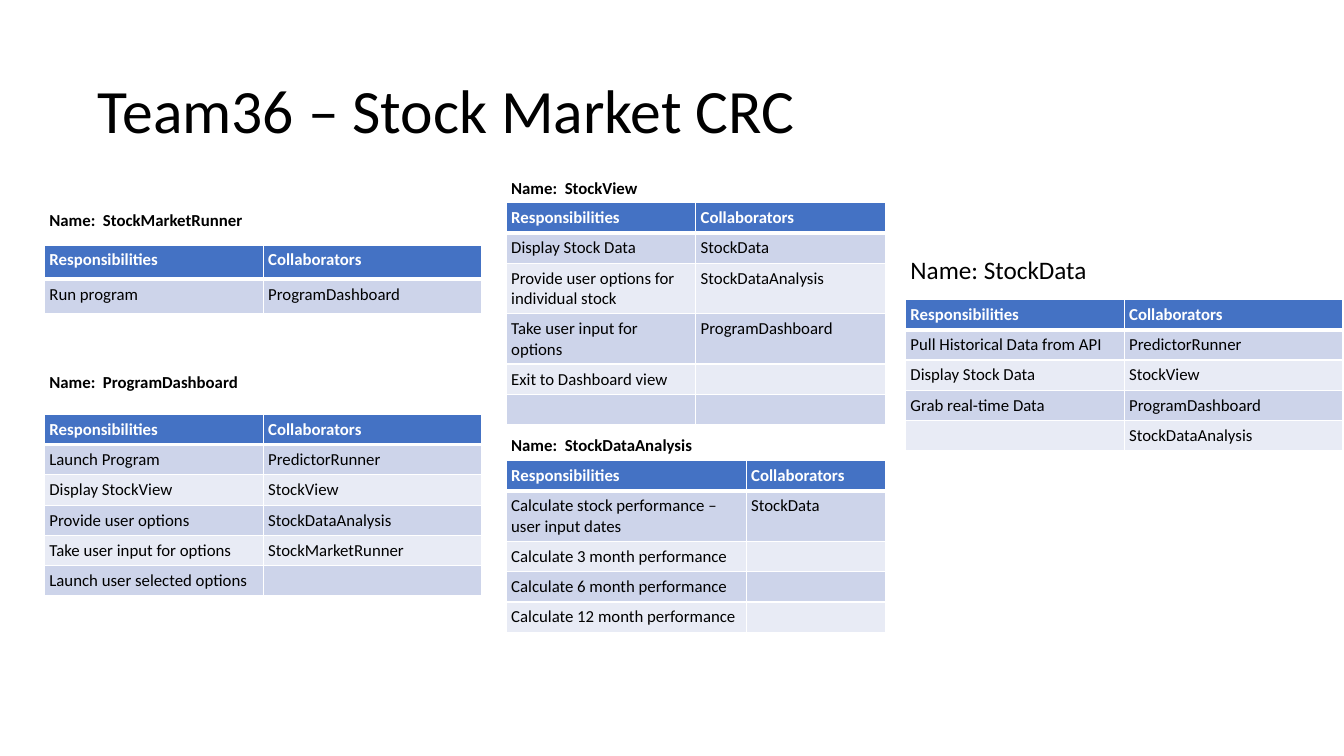
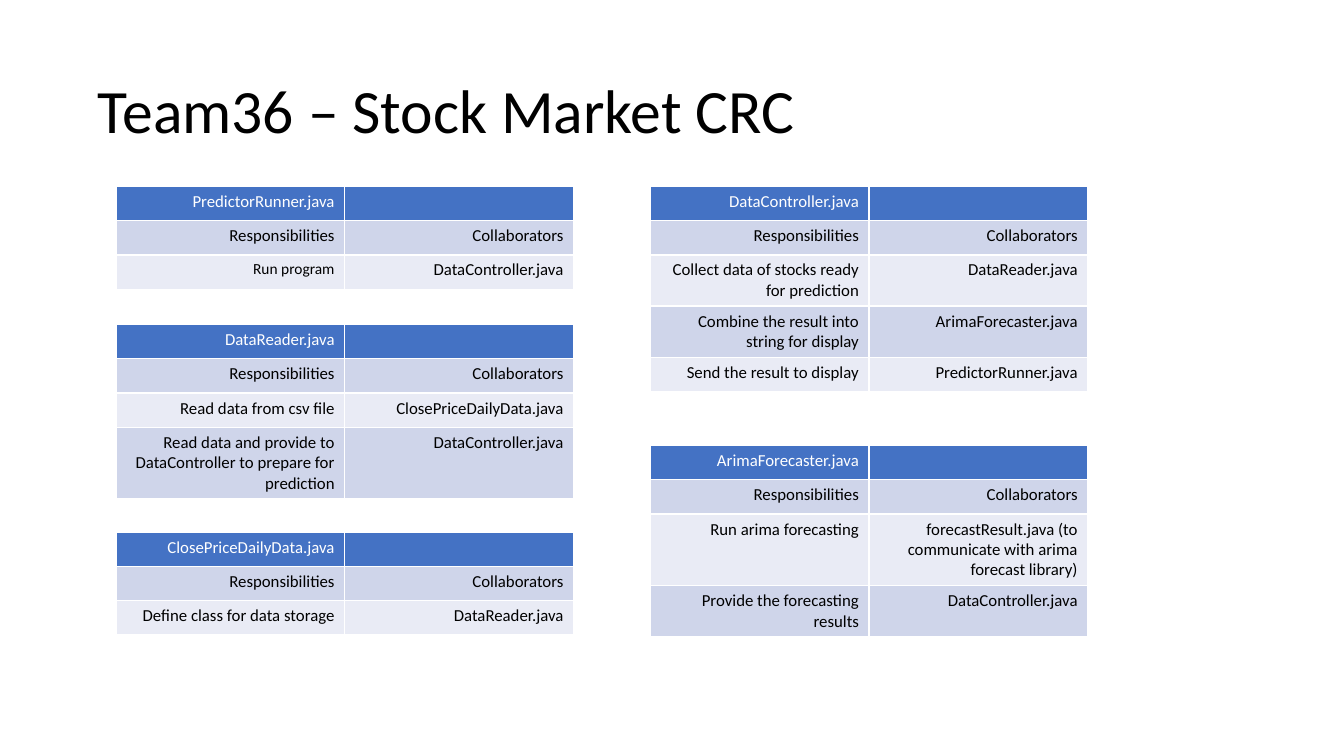
from dataclasses import dataclass

from lxml.etree import SubElement
from pptx import Presentation
from pptx.dml.color import RGBColor
from pptx.enum.text import MSO_ANCHOR, PP_ALIGN
from pptx.oxml.ns import qn
from pptx.util import Pt

SCALE = 9144
TITLE = "Team36 – Stock Market CRC"
HEAD = ("Responsibilities", "Collaborators")


def px(count):
    return count * SCALE


@dataclass(frozen=True)
class Theme:
    font: str = "Calibri"
    ink: str = "000000"
    paper: str = "FFFFFF"
    accent: str = "4472C4"
    title: int = 44
    label: int = 18
    body: int = 12
    small: int = 11
    inset: int = 5
    thin: int = 1
    thick: int = 3


@dataclass(frozen=True)
class Grid:
    bands: tuple
    bold: bool
    rule: int
    side: int
    align: PP_ALIGN


class Deck:
    def __init__(self, theme):
        self.theme = theme
        self.show = Presentation()
        self.show.slide_width = px(1333)
        self.show.slide_height = px(750)
        self.slide = None

    def page(self, text):
        self.slide = self.show.slides.add_slide(self.show.slide_layouts[5])
        shape = self.slide.shapes.title
        shape.left, shape.top = px(92), px(40)
        shape.width, shape.height = px(1150), px(145)
        frame = shape.text_frame
        self.letter(frame, text, self.theme.title)
        self.pad(frame, self.theme.inset)
        frame.vertical_anchor = MSO_ANCHOR.MIDDLE
        frame.paragraphs[0].line_spacing = 0.9

    def pad(self, box, side):
        box.margin_left = box.margin_right = px(side)
        box.margin_top = box.margin_bottom = px(self.theme.inset)

    def letter(self, frame, text, size, bold=False, color=None, align=PP_ALIGN.LEFT):
        frame.text = text
        para = frame.paragraphs[0]
        para.alignment = align
        for run in para.runs:
            font = run.font
            font.name, font.size, font.bold = self.theme.font, Pt(size), bold
            font.color.rgb = RGBColor.from_string(color or self.theme.ink)
        if not text:
            SubElement(para._p, qn("a:endParaRPr"), sz=str(size * 100))

    def label(self, x, y, wide, high, text, size, bold, wrap=True):
        box = self.slide.shapes.add_textbox(px(x), px(y), px(wide), px(high))
        frame = box.text_frame
        frame.word_wrap = wrap
        self.pad(frame, self.theme.inset)
        self.letter(frame, text, size, bold)

    def edge(self, cell, top, bottom):
        props = cell._tc.get_or_add_tcPr()
        thin = self.theme.thin
        for tag, width in (("lnL", thin), ("lnR", thin), ("lnT", top), ("lnB", bottom)):
            line = SubElement(props, qn(f"a:{tag}"), w=str(int(Pt(width))))
            fill = SubElement(line, qn("a:solidFill"))
            SubElement(fill, qn("a:srgbClr"), val=self.theme.paper)

    def table(self, x, y, cols, high, rows, grid):
        theme = self.theme
        frame = self.slide.shapes.add_table(
            len(rows), len(cols), px(x), px(y), px(sum(cols)), px(high * len(rows)))
        table = frame.table
        for col, wide in zip(table.columns, cols):
            col.width = px(wide)
        for r, texts in enumerate(rows):
            table.rows[r].height = px(high)
            first = r == 0
            back = theme.accent if first else grid.bands[(r - 1) % 2]
            color = theme.paper if first else theme.ink
            top = grid.rule if r == 1 else theme.thin
            bottom = grid.rule if first else theme.thin
            for c, text in enumerate(texts):
                cell = table.cell(r, c)
                self.edge(cell, top, bottom)
                cell.fill.solid()
                cell.fill.fore_color.rgb = RGBColor.from_string(back)
                self.pad(cell, grid.side)
                self.letter(cell.text_frame, text, theme.body,
                            first and grid.bold, color, grid.align)
        return table


def views(deck):
    theme = deck.theme
    grid = Grid(("CDD4EA", "E8EBF5"), True, theme.thick, theme.inset, PP_ALIGN.LEFT)
    deck.page(TITLE)
    half, even = (217, 217), (188, 188)
    cards = [
        ("StockMarketRunner", 44, 203, 243, half, 34, [
            ("Run program", "ProgramDashboard")]),
        ("ProgramDashboard", 44, 364, 411, half, 30, [
            ("Launch Program", "PredictorRunner"),
            ("Display StockView", "StockView"),
            ("Provide user options", "StockDataAnalysis"),
            ("Take user input for options", "StockMarketRunner"),
            ("Launch user selected options", "")]),
        ("StockView", 502, 171, 201, even, 30, [
            ("Display Stock Data", "StockData"),
            ("Provide user options for individual stock", "StockDataAnalysis"),
            ("Take user input for options", "ProgramDashboard"),
            ("Exit to Dashboard view", ""),
            ("", "")]),
        ("StockDataAnalysis", 502, 426, 457, (238, 138), 30, [
            ("Calculate stock performance – user input dates", "StockData"),
            ("Calculate 3 month performance", ""),
            ("Calculate 6 month performance", ""),
            ("Calculate 12 month performance", "")]),
    ]
    for name, x, y, top, cols, high, rows in cards:
        deck.table(x, top, cols, high, [HEAD, *rows], grid)
        deck.label(x, y, 397, 29, f"Name:  {name}", theme.body, True)
    deck.table(898, 297, half, 30, [
        HEAD,
        ("Pull Historical Data from API", "PredictorRunner"),
        ("Display Stock Data", "StockView"),
        ("Grab real-time Data", "ProgramDashboard"),
        ("", "StockDataAnalysis")], grid)
    deck.label(898, 247, 188, 40, "Name: StockData", theme.label, False, False)


def files(deck):
    theme = deck.theme
    grid = Grid(("CFD5EA", "E9EBF5"), False, theme.thin, 10, PP_ALIGN.RIGHT)
    deck.page(TITLE)
    left, right = (115, (227, 227)), (645, (217, 217))
    cards = [
        ("PredictorRunner.java", left, 185, [
            ("Run program", "DataController.java")]),
        ("DataController.java", right, 185, [
            ("Collect data of stocks ready for prediction", "DataReader.java"),
            ("Combine the result into string for display", "ArimaForecaster.java"),
            ("Send the result to display", "PredictorRunner.java")]),
        ("ArimaForecaster.java", right, 442, [
            ("Run arima forecasting",
             "forecastResult.java (to communicate with arima forecast library)"),
            ("Provide the forecasting results", "DataController.java")]),
        ("DataReader.java", left, 322, [
            ("Read data from csv file", "ClosePriceDailyData.java"),
            ("Read data and provide to DataController to prepare for prediction",
             "DataController.java")]),
        ("ClosePriceDailyData.java", left, 528, [
            ("Define class for data storage", "DataReader.java")]),
    ]
    tables = [deck.table(x, y, cols, 34, [(name, ""), HEAD, *rows], grid)
              for name, (x, cols), y, rows in cards]
    run = tables[0].cell(2, 0).text_frame.paragraphs[0].runs[0]
    run.font.size = Pt(theme.small)


def main():
    deck = Deck(Theme())
    views(deck)
    files(deck)
    deck.show.save("out.pptx")


if __name__ == "__main__":
    main()
